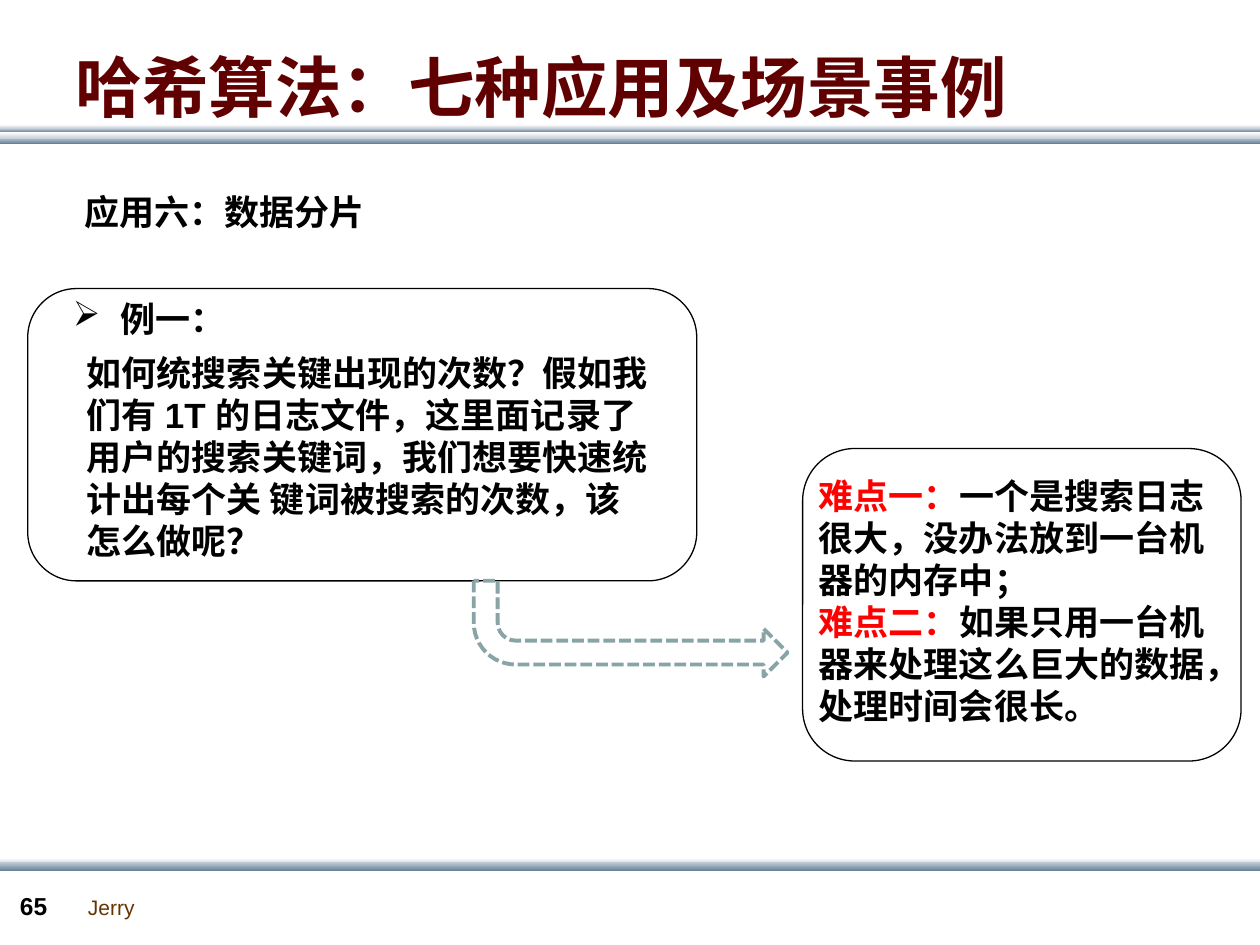
import pptx
import pptx.util
import pptx.dml.color
import pptx.enum.dml
import pptx.enum.shapes
import pptx.enum.text
from lxml import etree

Inches, Pt = pptx.util.Inches, pptx.util.Pt
SHAPE = pptx.enum.shapes.MSO_SHAPE


def color(text):
    return pptx.dml.color.RGBColor.from_string(text)


def write(box, paras, size=20, bold=True, font="Arial"):
    """Fill a text frame; each paragraph is a list of (text, colour) runs."""
    frame = box.text_frame
    for i, runs in enumerate(paras):
        para = frame.paragraphs[0] if i == 0 else frame.add_paragraph()
        for text, tint in runs:
            run = para.add_run()
            run.text = text
            run.font.name = font
            run.font.size = Pt(size)
            run.font.bold = bold
            run.font.color.rgb = color(tint)
    return frame


deck = pptx.Presentation()
deck.slide_width, deck.slide_height = Inches(10), Inches(7.5)
slide = deck.slides.add_slide(deck.slide_layouts[5])
shapes = slide.shapes

# Gradient bands under the title and above the footer
light, dark = ("FFFFFF", "C8D1DA"), ("C8D1DA", "6A839C")
bands = [(1.09, 0.05, dark), (1.02, 0.03, dark), (1.05, 0.05, light),
         (0.99, 0.03, light), (6.81, 0.05, light), (6.84, 0.07, dark)]
for top, height, tints in bands:
    band = shapes.add_shape(SHAPE.RECTANGLE, 0, Inches(top), Inches(10), Inches(height))
    band.shadow.inherit = False
    band.line.fill.background()
    band.fill.gradient()
    band.fill.gradient_angle = 270
    for stop, tint, place in zip(band.fill.gradient_stops, tints, (0, 1)):
        stop.color.rgb = color(tint)
        stop.position = place

title = shapes.title
title.left, title.top = Inches(0.5), Inches(0.3)
title.width, title.height = Inches(9), Inches(0.77)
frame = write(title, [[("哈希算法：七种应用及场景事例", "600000")]], 38, font="Noto Sans CJK SC")
frame.auto_size = pptx.enum.text.MSO_AUTO_SIZE.NONE
frame.vertical_anchor = pptx.enum.text.MSO_ANCHOR.MIDDLE
frame.paragraphs[0].alignment = pptx.enum.text.PP_ALIGN.LEFT

# Rounded frames around the example and its difficulties
for left, top, width, height in [(0.22, 2.29, 5.31, 2.32), (6.37, 3.56, 3.48, 2.48)]:
    card = shapes.add_shape(SHAPE.ROUNDED_RECTANGLE, Inches(left), Inches(top),
                            Inches(width), Inches(height))
    card.shadow.inherit = False
    card.fill.background()
    card.line.color.rgb = color("000000")
    card.line.width = Pt(0.75)

# Text boxes: place, paragraphs, size, bold
black, red = "000000", "FF0000"
question = ("如何统搜索关键出现的次数？假如我们有 1T 的日志文件，这里面记录了用户的搜索关键词，"
            "我们想要快速统计出每个关 键词被搜索的次数，该怎么做呢？")
hard = [[("难点一：", red), ("一个是搜索日志很大，没办法放到一台机器的内存中；", black)],
        [("难点二：", red), ("如果只用一台机器来处理这么巨大的数据，处理时间会很长。", black)]]
texts = [((0.6, 7.05, 0.57, 0.3), [[("Jerry", "663300")]], 12, False),
         ((0.06, 7.02, 0.55, 0.34), [[("65", black)]], 14, True),
         ((0.57, 1.46, 2.61, 0.44), [[("应用六：数据分片", black)]], 20, True),
         ((0.48, 2.31, 2.92, 0.44), [[("例一：", black)]], 20, True),
         ((0.59, 2.74, 4.69, 1.77), [[(question, black)]], 20, True),
         ((6.4, 3.72, 3.31, 2.1), hard, 20, True)]
for place, paras, size, bold in texts:
    box = shapes.add_textbox(*map(Inches, place))
    frame = write(box, paras, size, bold)
    frame.word_wrap = paras[0][0][0] != "Jerry"
    if paras[0][0][0] == "例一：":
        props = frame.paragraphs[0]._p.get_or_add_pPr()
        props.set("marL", str(Inches(0.38)))
        props.set("indent", str(Inches(-0.38)))
        bullet = etree.SubElement(props, pptx.oxml.ns.qn("a:buChar"))
        bullet.set("char", "➢")

# Dashed arrow from the example down and across to the difficulties
arrow = shapes.add_shape(SHAPE.BENT_ARROW, Inches(3.76), Inches(4.61), Inches(2.49), Inches(0.76))
arrow._element.spPr.xfrm.set("flipV", "1")
arrow.shadow.inherit = False
arrow.fill.background()
arrow.line.color.rgb = color("89A4A7")
arrow.line.width = Pt(2.25)
arrow.line.dash_style = pptx.enum.dml.MSO_LINE.SQUARE_DOT

deck.save("out.pptx")
